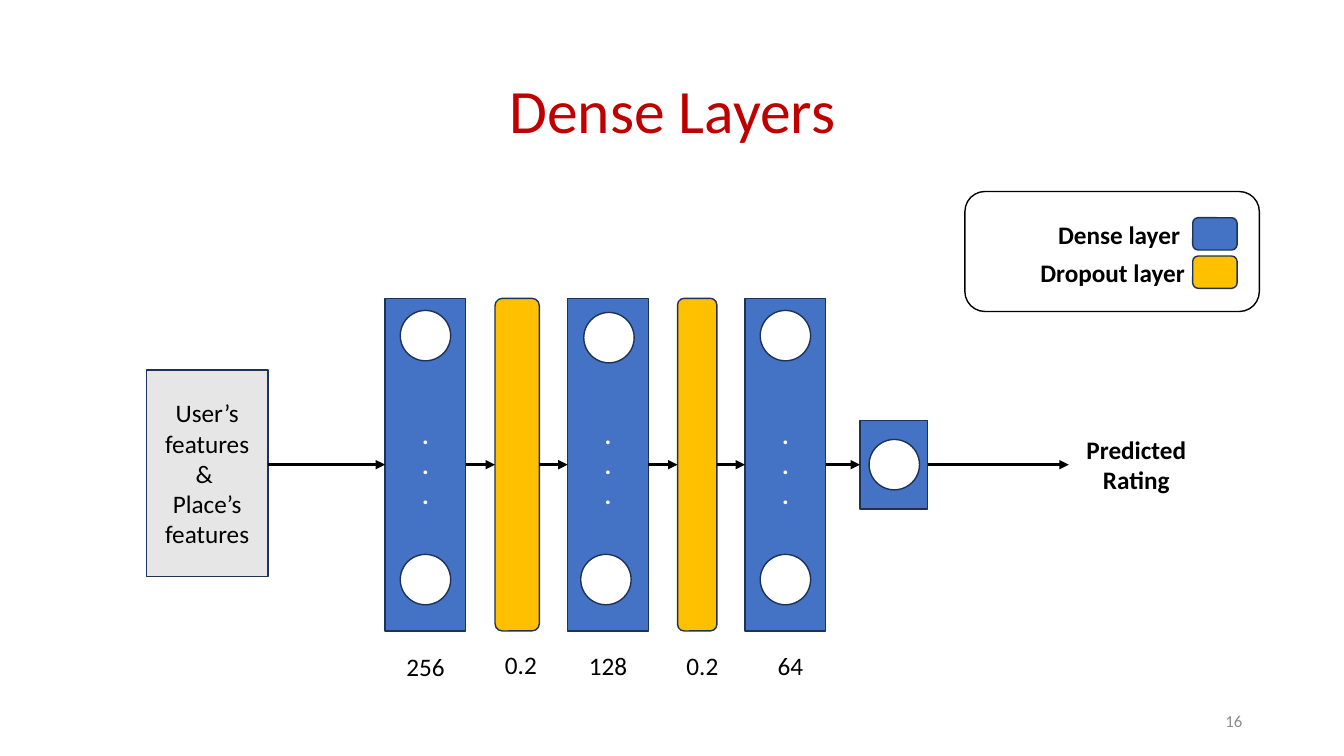
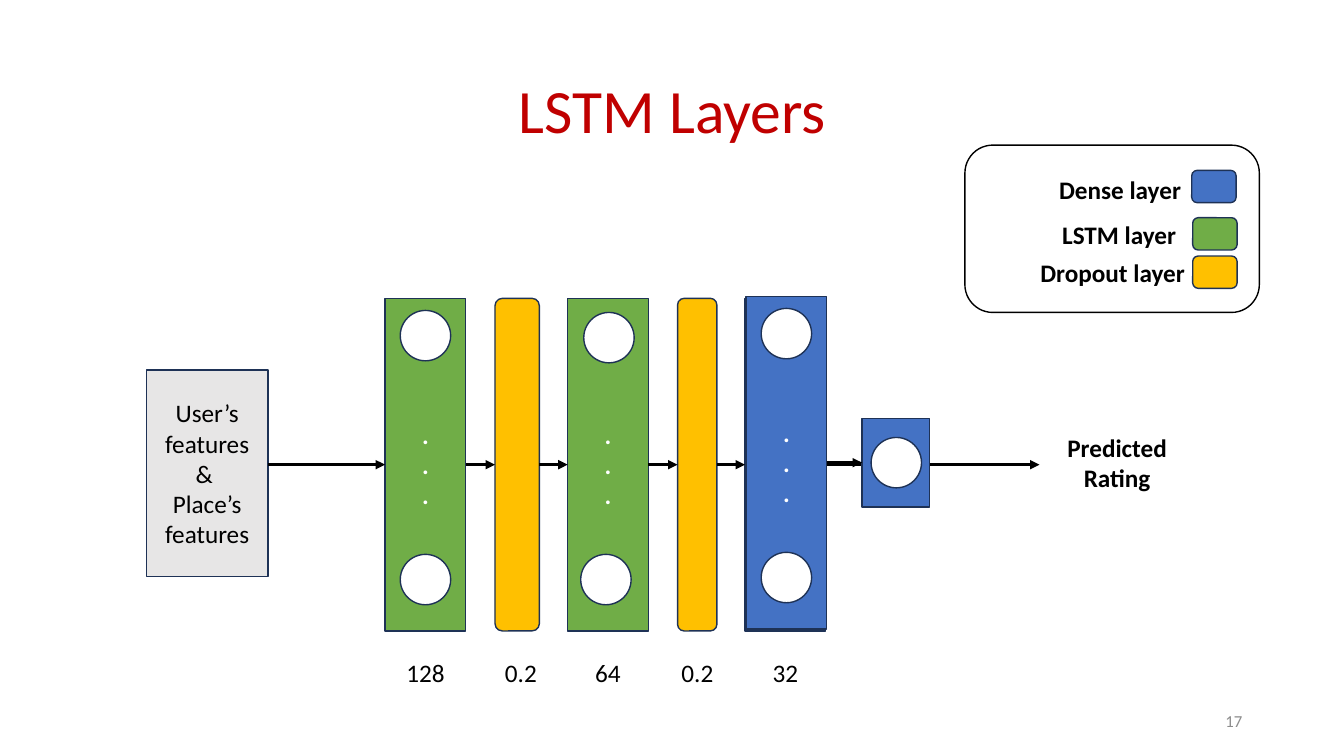
from lxml import etree
from pptx import Presentation
from pptx.dml.color import RGBColor
from pptx.enum.shapes import MSO_CONNECTOR, MSO_SHAPE
from pptx.enum.text import MSO_ANCHOR, MSO_AUTO_SIZE, PP_ALIGN
from pptx.oxml.ns import qn
from pptx.util import Emu, Pt

PX = 9144  # 100 px to the inch
FONT = "Calibri"
COLORS = {
    "title": "C00000",
    "number": "8C8C8C",
    "dense": "4472C4",
    "lstm": "70AD47",
    "dropout": "FFC000",
    "input": "E7E6E6",
    "outline": "1E3256",
    "black": "000000",
    "white": "FFFFFF",
}

TOP, LAYER_W, LAYER_H = 296, 80, 330
LAYER_LEFTS = (382, 563, 739)
DROPOUTS = ((491, 44), (672, 39))  # left, width
NODE = 50
NODE_OFFSETS = ((15, 12), (15, 254))
MIDDLE_OFFSETS = ((16, 14), (13, 254))
INPUT_RIGHT = 266
AXIS = TOP + LAYER_H // 2
LEFT, RIGHT = 1, 3  # connection sites


def px(*lengths):
    return [Emu(n * PX) for n in lengths]


def rgb(name):
    return RGBColor.from_string(COLORS[name])


def write(tf, lines, size=18, color="black", bold=False,
          align=PP_ALIGN.CENTER, anchor=MSO_ANCHOR.MIDDLE):
    """Fill a text frame with one paragraph per line."""
    tf.word_wrap = True
    tf.vertical_anchor = anchor
    for i, line in enumerate(lines):
        p = tf.add_paragraph() if i else tf.paragraphs[0]
        p.alignment = align
        r = p.add_run()
        r.text = line
        r.font.name, r.font.size, r.font.bold = FONT, Pt(size), bold
        r.font.color.rgb = rgb(color)


def add_text(s, box, text, **style):
    tb = s.shapes.add_textbox(*px(*box))
    write(tb.text_frame, [text], **style)
    return tb


def add_box(s, kind, box, fill=None, line="outline"):
    sp = s.shapes.add_shape(kind, *px(*box))
    sp.shadow.inherit = False
    if fill:
        sp.fill.solid()
        sp.fill.fore_color.rgb = rgb(fill)
    else:
        sp.fill.background()
    sp.line.color.rgb = rgb(line)
    sp.line.width = Pt(1)
    return sp


def add_arrow(s, start, end):
    """Each end is a shape to join on its facing side, or an (x, y) point."""
    points = [px(*e) if isinstance(e, tuple) else (0, 0) for e in (start, end)]
    c = s.shapes.add_connector(MSO_CONNECTOR.STRAIGHT, *points[0], *points[1])
    if not isinstance(start, tuple):
        c.begin_connect(start, RIGHT)
    if not isinstance(end, tuple):
        c.end_connect(end, LEFT)
    c.line.color.rgb = rgb("black")
    c.line.width = Pt(2.25)
    spPr = c.element.spPr
    etree.SubElement(spPr.find(qn("a:ln")), qn("a:tailEnd"), type="triangle")
    etree.SubElement(spPr, qn("a:effectLst"))


def add_nodes(s, left, top, offsets):
    for dx, dy in offsets:
        add_box(s, MSO_SHAPE.OVAL, (left + dx, top + dy, NODE, NODE), "white")


def add_layer(s, left, top, fill, offsets=NODE_OFFSETS):
    """Column of units: dots in the middle, a node at either end."""
    sp = add_box(s, MSO_SHAPE.RECTANGLE, (left, top, LAYER_W, LAYER_H), fill)
    write(sp.text_frame, "...", color="white", bold=True)
    add_nodes(s, left, top, offsets)
    return sp


def add_output(s, left, top):
    sp = add_box(s, MSO_SHAPE.RECTANGLE, (left, top, 67, 88), "dense")
    add_nodes(s, left, top, [(9, 19)])
    return sp


def add_prediction(s, left, top):
    return add_text(s, (left, top, 134, 88), "Predicted Rating", bold=True)


def add_network(s, fill, last_offsets=NODE_OFFSETS):
    """Draw the input, three layers and two dropouts; return the last layer."""
    sp = add_box(s, MSO_SHAPE.RECTANGLE, (145, 367, 121, 205), "input")
    write(sp.text_frame, ["User’s features", "& ", "Place’s features"])
    offsets = (NODE_OFFSETS, MIDDLE_OFFSETS, last_offsets)
    layers = [add_layer(s, x, TOP, fill, o) for x, o in zip(LAYER_LEFTS, offsets)]
    drops = [add_box(s, MSO_SHAPE.ROUNDED_RECTANGLE, (x, TOP, w, LAYER_H), "dropout")
             for x, w in DROPOUTS]
    add_arrow(s, (INPUT_RIGHT, AXIS), layers[0])
    for before, drop, after in zip(layers, drops, layers[1:]):
        add_arrow(s, before, drop)
        add_arrow(s, drop, after)
    return layers[-1]


def add_legend(s, top, height, entries):
    """Entries are (fill, swatch left and top, label, label box)."""
    add_box(s, MSO_SHAPE.ROUNDED_RECTANGLE, (957, top, 292, height), line="black")
    dropout = ("dropout", (1183, 254), "Dropout layer", (1013, 254, 181))
    for fill, corner, label, place in [*entries, dropout]:
        add_box(s, MSO_SHAPE.ROUNDED_RECTANGLE, (*corner, 44, 32), fill)
        add_text(s, (*place, 32), label, bold=True)


def add_sizes(s, units, rates):
    """Units are (text, left, top) under layers, rates the same under dropouts."""
    groups = ((units, 80, PP_ALIGN.CENTER), (rates, 65, PP_ALIGN.LEFT))
    for labels, width, align in groups:
        for text, left, top in labels:
            tb = add_text(s, (left, top, width, 40), text,
                          align=align, anchor=MSO_ANCHOR.TOP)
            tb.text_frame.auto_size = MSO_AUTO_SIZE.SHAPE_TO_FIT_TEXT


def new_slide(prs, title, number):
    s = prs.slides.add_slide(prs.slide_layouts[5])
    sp = s.shapes.title
    sp.left, sp.top, sp.width, sp.height = px(92, 40, 1150, 145)
    write(sp.text_frame, [title], size=44, color="title")
    sp.text_frame.paragraphs[0].line_spacing = 0.9
    add_text(s, (942, 695, 300, 40), number, size=12, color="number",
             align=PP_ALIGN.RIGHT)
    return s


def dense_slide(prs):
    s = new_slide(prs, "Dense Layers", "16")
    last = add_network(s, "dense")
    output = add_output(s, 853, 417)
    add_arrow(s, last, output)
    add_arrow(s, output, add_prediction(s, 1060, 417))
    add_legend(s, 190, 119, [
        ("dense", (1183, 216), "Dense layer", (1037, 217, 146))])
    add_sizes(s, [("256", 382, 641), ("128", 563, 640), ("64", 744, 640)],
              [("0.2", 491, 639), ("0.2", 671, 640)])


def lstm_slide(prs):
    s = new_slide(prs, "LSTM Layers", "17")
    covered = add_network(s, "lstm", last_offsets=())
    add_arrow(s, covered, (1031, AXIS))
    dense = add_layer(s, 740, 294, "dense")
    output = add_output(s, 855, 415)
    add_arrow(s, dense, output)
    add_prediction(s, 1041, 415)
    add_legend(s, 144, 166, [
        ("dense", (1182, 169), "Dense layer", (1038, 172, 146)),
        ("lstm", (1183, 216), "LSTM layer", (1037, 217, 146))])
    add_sizes(s, [(n, x, 647) for n, x in zip(("128", "64", "32"), LAYER_LEFTS)],
              [("0.2", x, 647) for x in (491, 666)])


def main():
    prs = Presentation()
    prs.slide_width, prs.slide_height = px(1333, 750)
    dense_slide(prs)
    lstm_slide(prs)
    prs.save("out.pptx")


if __name__ == "__main__":
    main()
